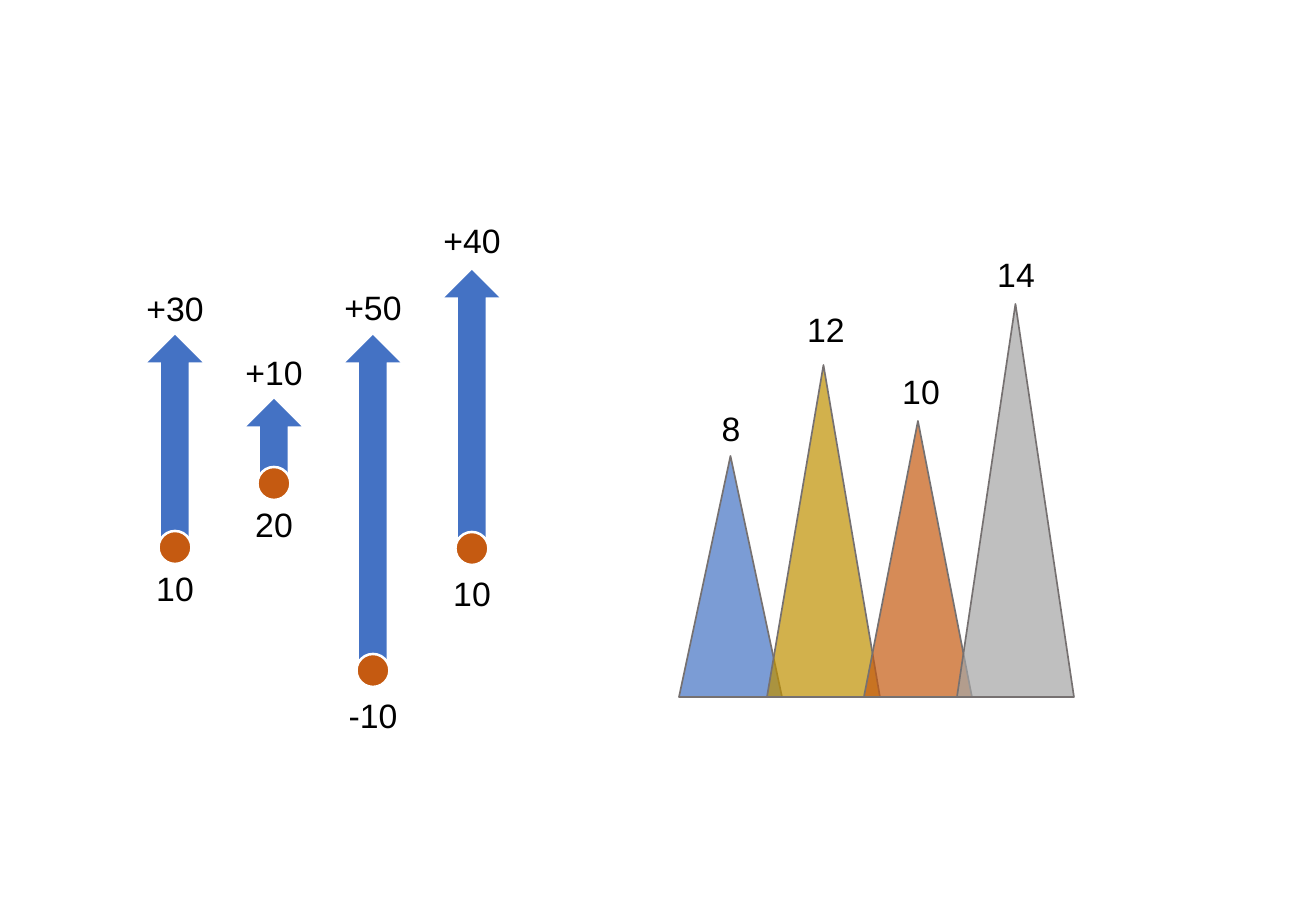
from dataclasses import dataclass

from lxml import etree
from pptx import Presentation
from pptx.dml.color import RGBColor
from pptx.enum.shapes import MSO_SHAPE
from pptx.enum.text import MSO_AUTO_SIZE, PP_ALIGN
from pptx.oxml.ns import qn
from pptx.util import Pt

PX = 7526  # EMU per pixel


@dataclass(frozen=True)
class Theme:
    """Colours and type of the slide."""
    blue: str = "4472C4"
    gold: str = "BF9000"
    orange: str = "C55A11"
    grey: str = "A5A5A5"
    outline: str = "767171"
    white: str = "FFFFFF"
    text: str = "000000"
    font: str = "Arial"
    size: int = 20


theme = Theme()


def add_figure(group, kind, box, fill, line=None, weight=1, opacity=100):
    """Add a filled preset shape; box is left, top, width, height in pixels."""
    shape = group.shapes.add_shape(kind, *(round(v * PX) for v in box))
    shape.shadow.inherit = False
    shape.fill.solid()
    shape.fill.fore_color.rgb = RGBColor.from_string(fill)
    if opacity < 100:
        color = shape.fill._xPr.find(qn("a:solidFill"))[0]
        etree.SubElement(color, qn("a:alpha"), val=str(opacity * 1000))
    if line:
        shape.line.color.rgb = RGBColor.from_string(line)
        shape.line.width = Pt(weight)
    else:
        shape.line.fill.background()


def add_label(group, text, center, top, width=74, wrap=True):
    """Add a number centred on a pixel column."""
    box = (center - width / 2, top, width, 53)
    frame = group.shapes.add_textbox(*(round(v * PX) for v in box)).text_frame
    frame.word_wrap = wrap
    frame.auto_size = MSO_AUTO_SIZE.SHAPE_TO_FIT_TEXT
    paragraph = frame.paragraphs[0]
    paragraph.alignment = PP_ALIGN.CENTER
    run = paragraph.add_run()
    run.text = text
    run.font.name = theme.font
    run.font.size = Pt(theme.size)
    run.font.color.rgb = RGBColor.from_string(theme.text)


prs = Presentation()
prs.slide_width, prs.slide_height = 1316 * PX, 911 * PX
slide = prs.slides.add_slide(prs.slide_layouts[6])

# Arrows: change, label top, arrow top, arrow bottom, dot top, start, label top
ARROW_START, ARROW_STEP, ARROW_WIDTH, DOT = 175, 99, 55, 33
arrows = [
    ("+30", 282, 335, 540, 531, "10", 562),
    ("+10", 346, 399, 478, 467, "20", 498),
    ("+50", 281, 335, 659, 654, "-10", 689),
    ("+40", 214, 270, 537, 532, "10", 567),
]
arrow_group = slide.shapes.add_group_shape()
for i, (change, change_top, tip, tail, dot_top, start, start_top) in enumerate(arrows):
    center = ARROW_START + i * ARROW_STEP
    add_figure(arrow_group, MSO_SHAPE.UP_ARROW,
               (center - ARROW_WIDTH / 2, tip, ARROW_WIDTH, tail - tip), theme.blue)
    add_figure(arrow_group, MSO_SHAPE.OVAL,
               (center - DOT / 2, dot_top, DOT, DOT), theme.orange, theme.white, 1.5)
    add_label(arrow_group, change, center, change_top, width=83, wrap=False)
    add_label(arrow_group, start, center, start_top)

# Peaks: value, left, width, top, label top, colour
BASELINE, LABEL_START, LABEL_STEP = 697, 731, 95
peaks = [
    ("8", 679, 103, 456, 402, theme.blue),
    ("12", 767, 113, 365, 303, theme.gold),
    ("10", 864, 108, 421, 365, theme.orange),
    ("14", 957, 117, 304, 248, theme.grey),
]
peak_group = slide.shapes.add_group_shape()
for value, left, width, top, label_top, color in peaks:
    add_figure(peak_group, MSO_SHAPE.ISOSCELES_TRIANGLE,
               (left, top, width, BASELINE - top), color, theme.outline, opacity=70)
for i, (value, left, width, top, label_top, color) in enumerate(peaks):
    add_label(peak_group, value, LABEL_START + i * LABEL_STEP, label_top)

prs.save("out.pptx")
